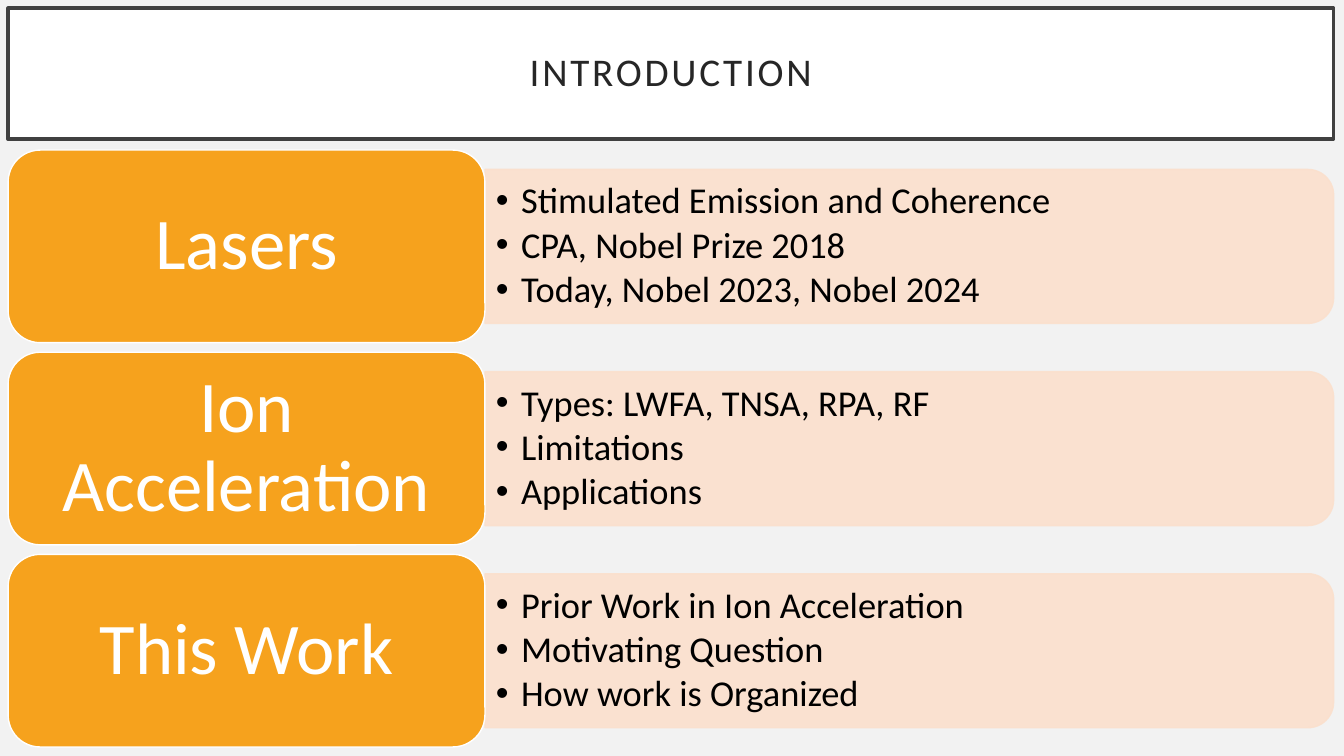
from pptx import Presentation
from pptx.dml.color import RGBColor
from pptx.enum.shapes import MSO_SHAPE
from pptx.enum.text import MSO_ANCHOR, PP_ALIGN
from pptx.oxml.ns import qn
from pptx.util import Pt
from lxml import etree

RECT = MSO_SHAPE.RECTANGLE
ROUNDED = MSO_SHAPE.ROUNDED_RECTANGLE
ROUNDED_TOP = MSO_SHAPE.ROUND_2_SAME_RECTANGLE
MIDDLE = MSO_ANCHOR.MIDDLE
CENTER = PP_ALIGN.CENTER
LEFT = PP_ALIGN.LEFT

PAGE = RGBColor(0xF2, 0xF2, 0xF2)
WHITE = RGBColor(0xFF, 0xFF, 0xFF)
BLACK = RGBColor(0x00, 0x00, 0x00)
FRAME = RGBColor(0x40, 0x40, 0x40)
HEADING = RGBColor(0x26, 0x26, 0x26)
ORANGE = RGBColor(0xF6, 0xA2, 0x1D)
PEACH = RGBColor(0xFB, 0xE0, 0xCD)

TOPICS = [
    ("Lasers", ["Stimulated Emission and Coherence",
                "CPA, Nobel Prize 2018",
                "Today, Nobel 2023, Nobel 2024"]),
    ("Ion Acceleration", ["Types: LWFA, TNSA, RPA, RF",
                          "Limitations",
                          "Applications"]),
    ("This Work", ["Prior Work in Ion Acceleration",
                   "Motivating Question",
                   "How work is Organized"]),
]
MARGIN = 5.8
TOPIC_TOP, TOPIC_PITCH = 107.2, 144.4
TOPIC_WIDTH, TOPIC_HEIGHT = 340.6, 137.6
PANEL_WIDTH, PANEL_HEIGHT = 606.2, 110
POINTS_WIDTH, POINTS_HEIGHT = 600.4, 99.4


class Agenda:
    font = "Calibri"

    def __init__(self, slide):
        self.slide = slide
        slide.background.fill.solid()
        slide.background.fill.fore_color.rgb = PAGE

    def block(self, kind, left, top, width, height, fill, line, weight):
        shape = self.slide.shapes.add_shape(kind, Pt(left), Pt(top), Pt(width), Pt(height))
        shape.shadow.inherit = False
        shape.fill.solid()
        shape.fill.fore_color.rgb = fill
        shape.line.color.rgb = line
        shape.line.width = Pt(weight)
        return shape

    def frame(self, shape, side, end):
        frame = shape.text_frame
        frame.word_wrap = True
        frame.vertical_anchor = MIDDLE
        frame.margin_left = frame.margin_right = Pt(side)
        frame.margin_top = frame.margin_bottom = Pt(end)
        return frame

    def add_text(self, paragraph, text, size, color, align=CENTER):
        paragraph.alignment = align
        paragraph.line_spacing = 0.9
        run = paragraph.add_run()
        run.text = text
        run.font.name = self.font
        run.font.size = Pt(size)
        run.font.color.rgb = color
        return run

    def title(self, text):
        banner = self.block(RECT, MARGIN, MARGIN, 946.8, 93.6, WHITE, FRAME, 2.5)
        frame = self.frame(banner, 14.4, 14.4)
        run = self.add_text(frame.paragraphs[0], text, 28, HEADING)
        run._r.get_or_add_rPr().set("spc", "200")

    def panel(self, left, middle):
        panel = self.block(ROUNDED_TOP, left + (PANEL_WIDTH - PANEL_HEIGHT) / 2,
                           middle - PANEL_WIDTH / 2, PANEL_HEIGHT, PANEL_WIDTH,
                           PEACH, PEACH, 1)
        panel.rotation = 90
        for color in panel._element.spPr.iter(qn("a:srgbClr")):
            etree.SubElement(color, qn("a:alpha"), val="90000")

    def points(self, left, middle, lines):
        box = self.slide.shapes.add_textbox(Pt(left), Pt(middle - POINTS_HEIGHT / 2),
                                            Pt(POINTS_WIDTH), Pt(POINTS_HEIGHT))
        frame = self.frame(box, 7.8, 3.9)
        for index, line in enumerate(lines):
            paragraph = frame.add_paragraph() if index else frame.paragraphs[0]
            self.add_text(paragraph, line, 26, BLACK, LEFT)
            paragraph.level = 1
            paragraph.space_after = Pt(3.6)
            properties = paragraph._p.get_or_add_pPr()
            properties.set("marL", str(Pt(18)))
            properties.set("indent", str(-Pt(18)))
            etree.SubElement(properties, qn("a:buFont"), typeface="Arial")
            etree.SubElement(properties, qn("a:buChar"), char="•")

    def topic(self, top, name, lines):
        split, middle = MARGIN + TOPIC_WIDTH, top + TOPIC_HEIGHT / 2
        self.panel(split, middle)
        self.points(split, middle, lines)
        label = self.block(ROUNDED, MARGIN, top, TOPIC_WIDTH, TOPIC_HEIGHT, ORANGE, WHITE, 1)
        frame = self.frame(label, 15.6, 7.8)
        self.add_text(frame.paragraphs[0], name, 52, WHITE)


def main():
    deck = Presentation()
    deck.slide_width, deck.slide_height = Pt(960), Pt(540)
    agenda = Agenda(deck.slides.add_slide(deck.slide_layouts[6]))
    agenda.title("INTRODUCTION")
    for row, (name, lines) in enumerate(TOPICS):
        agenda.topic(TOPIC_TOP + row * TOPIC_PITCH, name, lines)
    deck.save("out.pptx")


if __name__ == "__main__":
    main()
